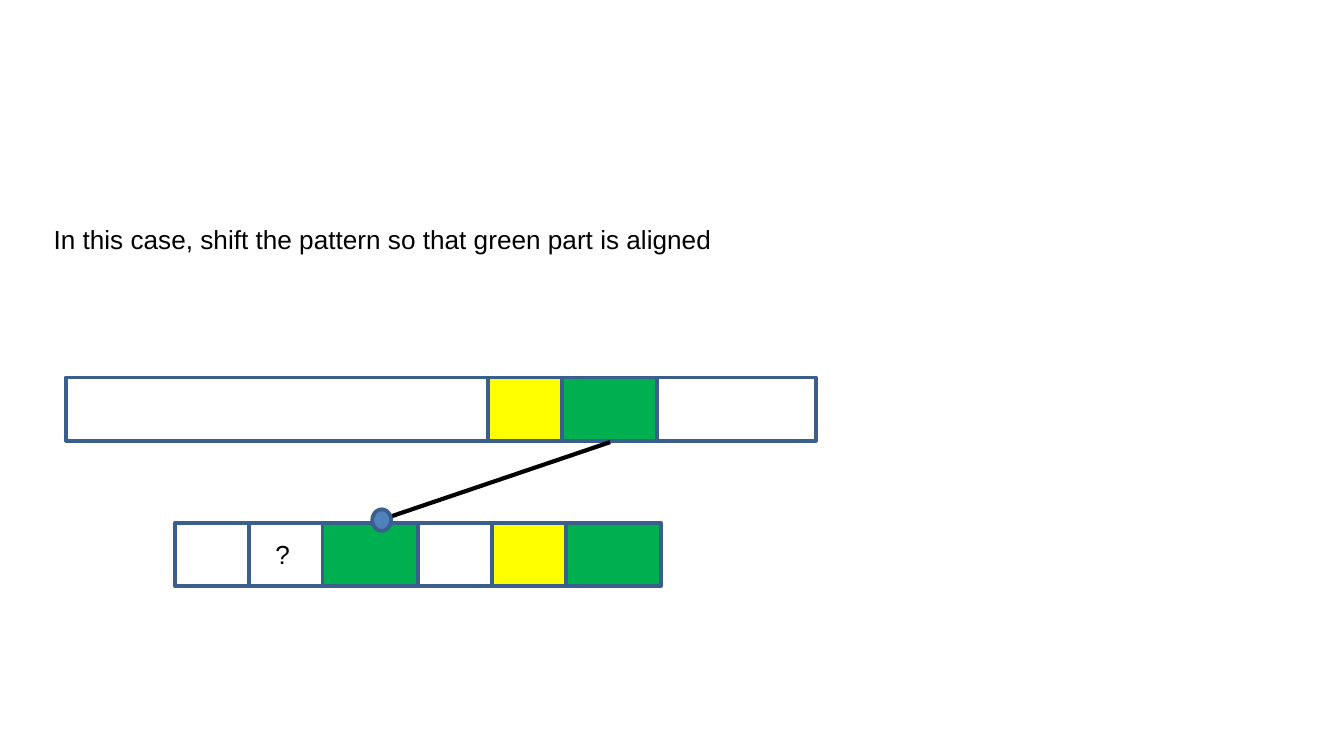
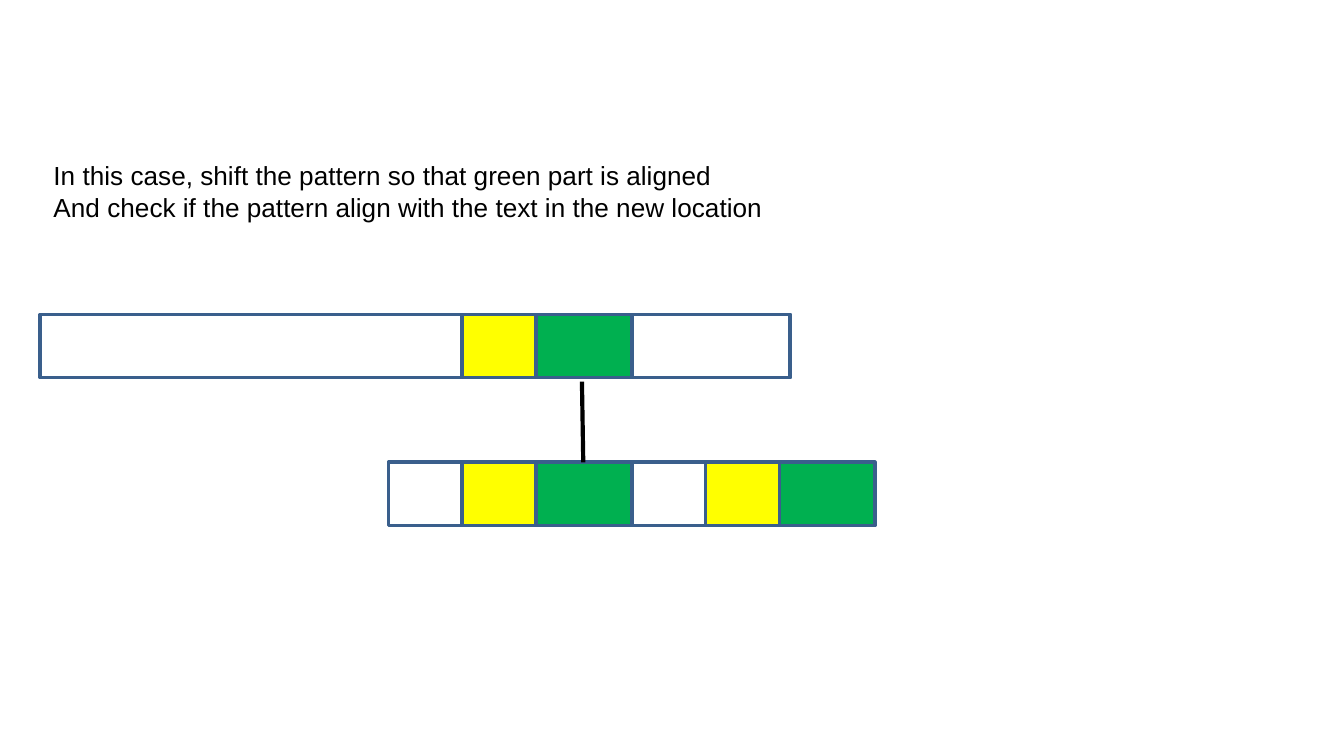
from pptx import Presentation
from pptx.dml.color import RGBColor
from pptx.enum.shapes import MSO_CONNECTOR, MSO_SHAPE
from pptx.enum.text import MSO_AUTO_SIZE
from pptx.oxml import parse_xml
from pptx.oxml.ns import nsdecls
from pptx.util import Inches, Pt

# Shared style
FONT = "Arial"
BLACK, BORDER, DOT = "000000", "3A5F8C", "4F81BD"
YELLOW, GREEN = "FFFF00", "00B050"
CELL_HEIGHT = 0.47

# Parts of a row: width and fill
PREFIX = (3.14, None)
BLANK = (0.55, None)
MISMATCH = (0.55, YELLOW)
SUFFIX = (0.71, GREEN)
REST = (1.18, None)

TEXT_ROW = [PREFIX, MISMATCH, SUFFIX, REST]
PATTERN_BEFORE = [BLANK, BLANK, SUFFIX, BLANK, MISMATCH, SUFFIX]
PATTERN_AFTER = [BLANK, MISMATCH, SUFFIX, BLANK, MISMATCH, SUFFIX]

SHIFT_STEP = "In this case, shift the pattern so that green part is aligned"
CHECK_STEP = "And check if the pattern align with the text in the new location"


def rgb(code):
    return RGBColor.from_string(code)


def add_text(slide, text, left, top, width, height, size=14, color=BLACK, font=FONT):
    box = slide.shapes.add_textbox(*map(Inches, (left, top, width, height)))
    frame = box.text_frame
    frame.word_wrap = False
    frame.auto_size = MSO_AUTO_SIZE.SHAPE_TO_FIT_TEXT
    frame.text = text
    for paragraph in frame.paragraphs:
        paragraph.font.name = font
        paragraph.font.size = Pt(size)
        paragraph.font.color.rgb = rgb(color)


def add_outlined(slide, preset, left, top, width, height, fill=None):
    part = slide.shapes.add_shape(preset, *map(Inches, (left, top, width, height)))
    part.shadow.inherit = False
    if fill:
        part.fill.solid()
        part.fill.fore_color.rgb = rgb(fill)
    else:
        part.fill.background()
    part.line.color.rgb = rgb(BORDER)
    part.line.width = Pt(2)


def add_row(slide, parts, left, top, overlap=0):
    """Lay the parts side by side from left to right."""
    for width, fill in parts:
        add_outlined(slide, MSO_SHAPE.RECTANGLE, left, top, width, CELL_HEIGHT, fill)
        left += width - overlap


def add_link(slide, start, end):
    link = slide.shapes.add_connector(MSO_CONNECTOR.STRAIGHT, *map(Inches, start + end))
    link.line.color.rgb = rgb(BLACK)
    link.line.width = Pt(2.25)
    link._element.spPr.append(parse_xml(f"<a:effectLst {nsdecls('a')}/>"))


def build_before_shift(slide):
    add_text(slide, SHIFT_STEP, 0.3, 1.61, 5.12, 0.34)
    add_row(slide, TEXT_ROW, 0.49, 2.81)
    add_row(slide, PATTERN_BEFORE, 1.3, 3.89)
    add_text(slide, "?", 1.95, 3.96, 0.31, 0.34)
    add_link(slide, (4.54, 3.29), (2.77, 3.89))
    add_outlined(slide, MSO_SHAPE.OVAL, 2.77, 3.79, 0.14, 0.16, DOT)


def build_after_shift(slide):
    add_text(slide, f"{SHIFT_STEP}\n{CHECK_STEP}", 0.3, 1.14, 5.5, 0.57)
    add_row(slide, TEXT_ROW, 0.3, 2.34)
    add_row(slide, PATTERN_AFTER, 2.89, 3.44)
    add_link(slide, (4.33, 2.84), (4.34, 3.44))


def main():
    deck = Presentation()
    deck.slide_width = Inches(10)
    deck.slide_height = deck.slide_width * 9 // 16
    blank_layout = deck.slide_layouts[6]
    for build in (build_before_shift, build_after_shift):
        build(deck.slides.add_slide(blank_layout))
    deck.save("out.pptx")


if __name__ == "__main__":
    main()
